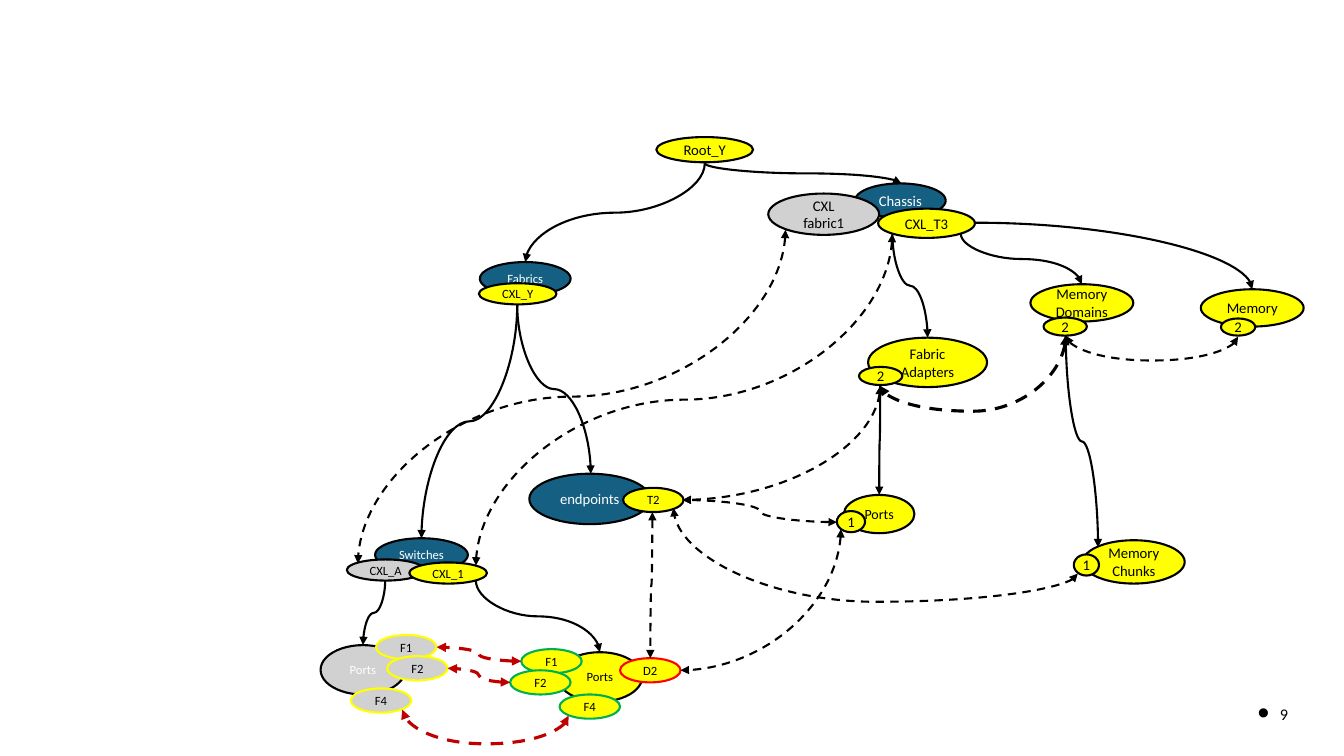
from dataclasses import dataclass

from lxml import etree
from pptx import Presentation
from pptx import util as u
from pptx.dml import color as dml
from pptx.enum import dml as strokes, shapes, text
from pptx.oxml import ns


@dataclass(frozen=True)
class Theme:
    font: str = "Calibri"
    black: str = "000000"
    white: str = "FFFFFF"
    yellow: str = "FFFF00"
    blue: str = "156082"
    gray: str = "D1D1D1"
    green: str = "00B050"
    red: str = "FF0000"
    dark_red: str = "C00000"
    small: float = 9
    port: float = 10
    normal: float = 10.5
    page: float = 20
    thin: float = 1.5
    thick: float = 2.25


T = Theme()
RESOURCE = {"fill": T.yellow, "border": T.black, "ink": T.black, "size": T.normal}
SMALL = {**RESOURCE, "size": T.small}
FOLDER = {**RESOURCE, "fill": T.blue, "ink": T.white}
SMALL_FOLDER = {**FOLDER, "size": T.small}
REMOTE = {**RESOURCE, "fill": T.gray}
SMALL_REMOTE = {**REMOTE, "size": T.small}
REMOTE_PORTS = {**SMALL_REMOTE, "ink": T.white}
REMOTE_PORT = {**SMALL_REMOTE, "border": T.yellow}
LOCAL_PORT = {**SMALL, "border": T.green}
DOWN_PORT = {**SMALL, "border": T.red}

TREE = {"color": T.black, "width": T.thin}
LINK = {**TREE, "dashed": True}
BOLD_LINK = {**LINK, "width": T.thick}
PORT_LINK = {**BOLD_LINK, "color": T.dark_red}

NODES = [
    ("Ports", (5.53, 6.47, 0.84, 0.49), SMALL),
    ("Fabrics", (4.76, 2.6, 0.9, 0.33), SMALL_FOLDER),
    ("CXL_Y", (4.75, 2.81, 0.77, 0.21), SMALL),
    ("Switches", (3.72, 5.34, 0.92, 0.33), SMALL_FOLDER),
    ("CXL_A", (3.44, 5.55, 0.77, 0.21), SMALL_REMOTE),
    ("Chassis", (8.48, 1.82, 0.9, 0.34), FOLDER),
    ("CXL_T3", (8.71, 2.07, 0.96, 0.29), RESOURCE),
    ("Root_Y", (6.51, 1.36, 0.96, 0.25), RESOURCE),
    ("Memory\nDomains", (10.22, 2.82, 1.02, 0.37), RESOURCE),
    ("Memory", (11.91, 2.87, 1.02, 0.37), RESOURCE),
    ("2", (12.11, 3.16, 0.34, 0.17), RESOURCE),
    ("CXL_1", (4.06, 5.58, 0.77, 0.21), SMALL),
    ("Ports", (8.37, 4.91, 0.7, 0.38), {**RESOURCE, "size": T.port}),
    ("Ports", (3.18, 6.4, 0.84, 0.49), REMOTE_PORTS),
    ("endpoints", (5.25, 4.7, 1.2, 0.5), FOLDER),
    ("2", (10.35, 3.15, 0.43, 0.18), RESOURCE),
    ("Fabric\nAdapters", (8.61, 3.35, 1.18, 0.49), RESOURCE),
    ("2", (8.52, 3.64, 0.43, 0.18), RESOURCE),
    ("Memory\nChunks", (10.74, 5.36, 1.01, 0.43), RESOURCE),
    ("1", (10.65, 5.5, 0.25, 0.21), RESOURCE),
    ("1", (8.3, 5.07, 0.28, 0.21), RESOURCE),
    ("F1", (5.17, 6.44, 0.6, 0.24), LOCAL_PORT),
    ("F2", (5.06, 6.65, 0.6, 0.24), LOCAL_PORT),
    ("F4", (5.55, 6.89, 0.6, 0.24), LOCAL_PORT),
    ("F1", (3.73, 6.3, 0.6, 0.24), REMOTE_PORT),
    ("F2", (3.84, 6.51, 0.6, 0.24), REMOTE_PORT),
    ("F4", (3.48, 6.83, 0.6, 0.24), REMOTE_PORT),
    ("D2", (6.15, 6.53, 0.6, 0.24), DOWN_PORT),
    ("CXL\nfabric1", (7.62, 1.92, 1.1, 0.41), REMOTE),
    ("T2", (6.18, 4.84, 0.6, 0.24), SMALL),
]

S_CURVES = [
    ((6.99, 1.62), (5.21, 2.6), TREE),
    ((6.99, 1.62), (8.94, 1.82), TREE),
    ((5.13, 3.02), (4.18, 5.34), TREE),
    ((5.13, 3.02), (5.86, 4.7), TREE),
    ((3.82, 5.76), (3.6, 6.4), TREE),
    ((4.72, 5.76), (5.95, 6.47), TREE),
    ((9.53, 2.32), (10.73, 2.82), TREE),
    ((8.85, 2.32), (9.2, 3.35), TREE),
    ((8.73, 3.83), (8.72, 4.91), TREE),
    ((10.57, 3.33), (10.89, 5.43), TREE),
    ((8.85, 2.32), (4.72, 5.61), LINK),
    ((7.79, 2.28), (3.55, 5.59), LINK),
    ((6.47, 5.08), (6.45, 6.53), LINK),
]
SIDE_CURVES = [
    ((8.3, 5.18), (6.77, 4.96), LINK),
    ((5.17, 6.56), (4.33, 6.42), PORT_LINK),
    ((5.06, 6.77), (4.44, 6.63), PORT_LINK),
]
SAGGING_CURVES = [
    ((12.28, 3.34), (10.57, 3.33), 3.58, LINK),
    ((10.69, 5.69), (6.68, 5.04), 5.97, LINK),
    ((10.57, 3.33), (8.73, 3.83), 4.08, BOLD_LINK),
    ((5.64, 7.1), (3.99, 7.04), 7.38, PORT_LINK),
]
QUARTER_CURVES = [
    ((8.34, 5.25), (6.75, 6.65), LINK),
    ((8.73, 3.83), (6.77, 4.96), LINK),
]


def rgb(value):
    return dml.RGBColor.from_string(value)


def apply(target, values):
    for name, value in values.items():
        setattr(target, name, value)


def write_label(frame, label, size, ink):
    apply(frame, {"word_wrap": False, "vertical_anchor": text.MSO_ANCHOR.MIDDLE,
                  "margin_left": 0, "margin_right": 0,
                  "margin_top": 0, "margin_bottom": 0})
    frame.text = label
    for paragraph in frame.paragraphs:
        paragraph.alignment = text.PP_ALIGN.CENTER
        font = paragraph.runs[0].font
        apply(font, {"name": T.font, "size": u.Pt(size)})
        font.color.rgb = rgb(ink)


def add_node(slide, label, box, look):
    node = slide.shapes.add_shape(shapes.MSO_SHAPE.OVAL, *map(u.Inches, box))
    node.shadow.inherit = False
    node.fill.solid()
    node.fill.fore_color.rgb = rgb(look["fill"])
    node.line.color.rgb = rgb(look["border"])
    node.line.width = u.Pt(T.thin)
    write_label(node.text_frame, label, look["size"], look["ink"])


def add_curve(slide, start, end, look, vertical=True, bend=None, quarter=False):
    (x1, y1), (x2, y2) = start, end
    dx, dy = x2 - x1, y2 - y1
    width, height = (abs(dy), abs(dx)) if vertical else (abs(dx), abs(dy))
    left, top = (x1 + x2 - width) / 2, (y1 + y2 - height) / 2
    curve = slide.shapes.add_connector(
        shapes.MSO_CONNECTOR.CURVE,
        *map(u.Inches, (left, top, left + width, top + height)))
    properties = curve.element.spPr
    frame = properties.find(ns.qn("a:xfrm"))
    if vertical:
        turn = 270 if dx > 0 else 90
        if dx > 0 or dy < 0:
            frame.set("flipH", "1")
    else:
        turn = 180 if dx < 0 else 0
    frame.set("rot", str(turn * 60000))

    geometry = properties.find(ns.qn("a:prstGeom"))
    if quarter:
        geometry.set("prst", "curvedConnector2")
    elif bend is not None:
        guides = geometry.find(ns.qn("a:avLst"))
        if guides is None:
            guides = etree.SubElement(geometry, ns.qn("a:avLst"))
        share = round((bend - y1) / dy * 100000)
        etree.SubElement(guides, ns.qn("a:gd"), name="adj1", fmla=f"val {share}")

    curve.line.color.rgb = rgb(look["color"])
    curve.line.width = u.Pt(look["width"])
    ends = ["tailEnd"]
    if look.get("dashed"):
        curve.line.dash_style = strokes.MSO_LINE.DASH
        ends = ["headEnd", "tailEnd"]
    stroke = properties.find(ns.qn("a:ln"))
    for arrow in ends:
        etree.SubElement(stroke, ns.qn(f"a:{arrow}"), type="triangle")
    etree.SubElement(properties, ns.qn("a:effectLst"))


def add_page_number(slide, number):
    page = slide.shapes.add_textbox(*map(u.Inches, (12.25, 6.89, 0.75, 0.4)))
    write_label(page.text_frame, number, T.page, T.black)
    page.text_frame.word_wrap = True
    paragraph = page.text_frame.paragraphs[0]
    paragraph.line_spacing = 0.9
    paragraph.runs[0].font._element.set("baseline", "10000")
    layout = paragraph._p.get_or_add_pPr()
    layout.set("marL", str(u.Inches(0.22)))
    layout.set("indent", str(u.Inches(-0.22)))
    etree.SubElement(layout, ns.qn("a:buSzPct"), val="120000")
    etree.SubElement(layout, ns.qn("a:buFont"), typeface="Arial")
    etree.SubElement(layout, ns.qn("a:buChar"), char="•")


def main():
    deck = Presentation()
    apply(deck, {"slide_width": u.Inches(13.33), "slide_height": u.Inches(7.5)})
    slide = deck.slides.add_slide(deck.slide_layouts[6])
    for node in NODES:
        add_node(slide, *node)
    for curve in S_CURVES:
        add_curve(slide, *curve)
    for curve in SIDE_CURVES:
        add_curve(slide, *curve, vertical=False)
    for start, end, bend, look in SAGGING_CURVES:
        add_curve(slide, start, end, look, bend=bend)
    for curve in QUARTER_CURVES:
        add_curve(slide, *curve, quarter=True)
    add_curve(slide, (9.67, 2.21), (12.42, 2.87), TREE, vertical=False, quarter=True)
    add_page_number(slide, "9")
    deck.save("out.pptx")


if __name__ == "__main__":
    main()
